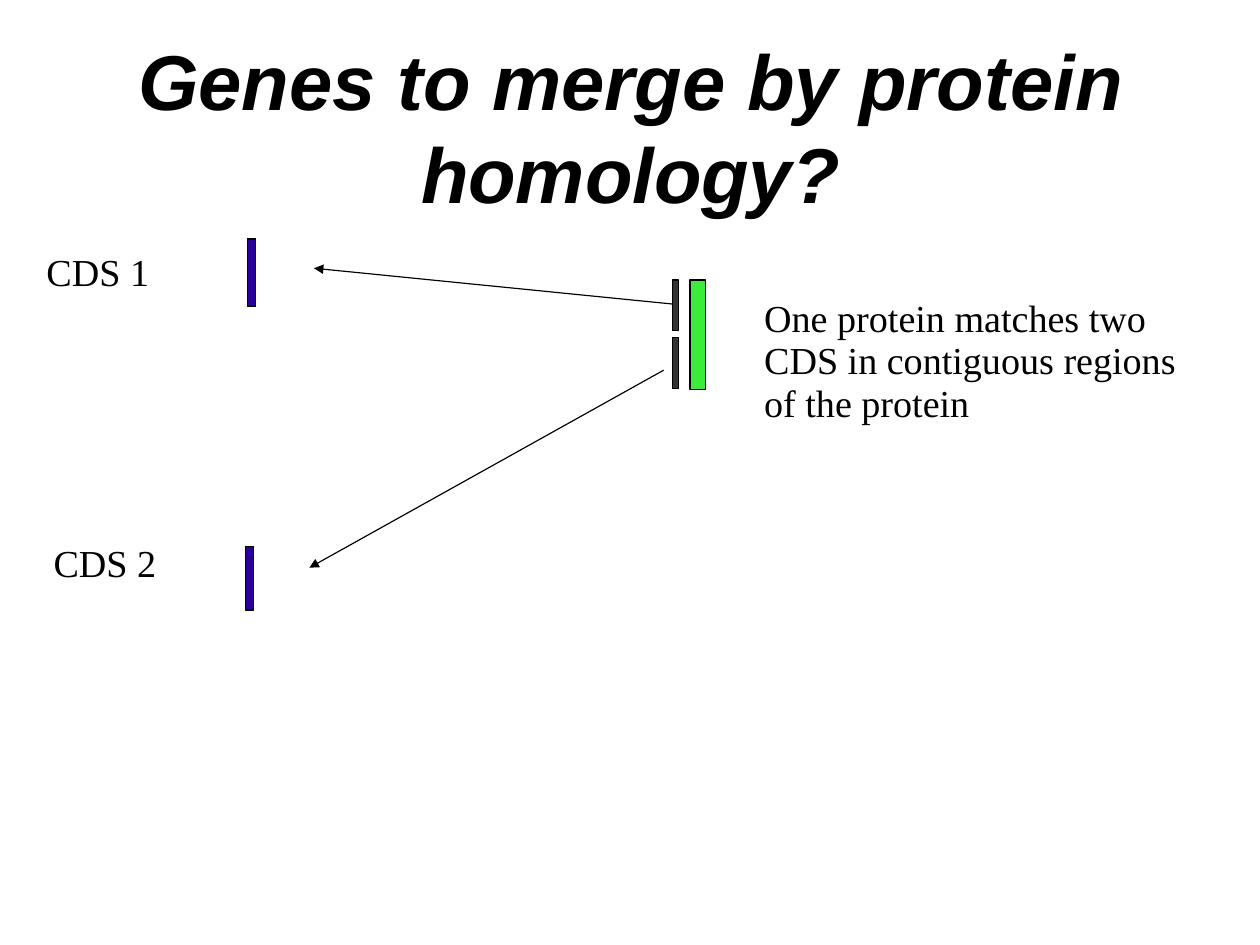
from pptx import Presentation
from pptx.dml.color import RGBColor
from pptx.enum.shapes import MSO_CONNECTOR, MSO_SHAPE
from pptx.enum.text import MSO_ANCHOR, PP_ALIGN
from pptx.oxml.ns import qn
from pptx.util import Pt
from lxml.etree import SubElement

BLACK, CDS, PROTEIN, MATCH = "000000", "280099", "3DEB3D", "333333"

TITLE = ("Genes to merge by protein homology?", (59.5, 52.5, 675.25, 53.25))
LABELS = [
    ("One protein matches two CDS in contiguous regions of the protein",
     (481.4, 187.7, 266.4, 80.6)),
    ("CDS 1", (29.3, 159, 88.6, 26.6)),
    ("CDS 2", (33.8, 342.4, 82.1, 26.6)),
]
BARS = [
    (CDS, (156, 150.5, 5.2, 40.3)),
    (CDS, (156, 150.5, 5.2, 42.5)),
    (CDS, (154.6, 344, 5.2, 40.3)),
    (PROTEIN, (434.7, 176.4, 10, 69)),
]
ARROWS = [
    ((423.4, 191.5), (197.8, 169)),
    ((418.1, 233.2), (194.9, 357.6)),
]
MATCH_TOPS = [176.4, 212.8]
MATCH_LEFT, MATCH_WIDTH, MATCH_HEIGHT = 423.5, 3.8, 31.9


def rgb(code):
    return RGBColor.from_string(code)


def points(values):
    return [Pt(value) for value in values]


def add_text(text, box, font_name, size, spacing):
    frame = slide.shapes.add_textbox(*points(box)).text_frame
    frame.word_wrap = True
    frame.margin_left = frame.margin_right = 0
    frame.margin_top = frame.margin_bottom = 0
    paragraph = frame.paragraphs[0]
    paragraph.text = text
    paragraph.line_spacing = spacing
    font = paragraph.font
    font.name, font.size = font_name, Pt(size)
    font.color.rgb = rgb(BLACK)
    return frame, paragraph


def outline(line):
    line.color.rgb = rgb(BLACK)
    line.width = Pt(0.75)


def add_bar(color, box):
    bar = slide.shapes.add_shape(MSO_SHAPE.RECTANGLE, *points(box))
    bar.shadow.inherit = False
    bar.fill.solid()
    bar.fill.fore_color.rgb = rgb(color)
    outline(bar.line)


def add_arrow(start, end):
    arrow = slide.shapes.add_connector(MSO_CONNECTOR.STRAIGHT, *points(start + end))
    outline(arrow.line)
    SubElement(arrow.line._get_or_add_ln(), qn("a:tailEnd"), type="triangle")
    SubElement(arrow._element.spPr, qn("a:effectLst"))


presentation = Presentation()
presentation.slide_width, presentation.slide_height = Pt(793.75), Pt(595.25)
slide = presentation.slides.add_slide(presentation.slide_layouts[6])

title_frame, title = add_text(*TITLE, "Arial", 49, 1.0)
title_frame.vertical_anchor = MSO_ANCHOR.MIDDLE
title.alignment = PP_ALIGN.CENTER
title.font.bold = title.font.italic = True

for color, box in BARS:
    add_bar(color, box)
for start, end in ARROWS:
    add_arrow(start, end)
for top in MATCH_TOPS:
    add_bar(MATCH, (MATCH_LEFT, top, MATCH_WIDTH, MATCH_HEIGHT))
for text, box in LABELS:
    add_text(text, box, "Times New Roman", 24, 0.93)

presentation.save("out.pptx")
